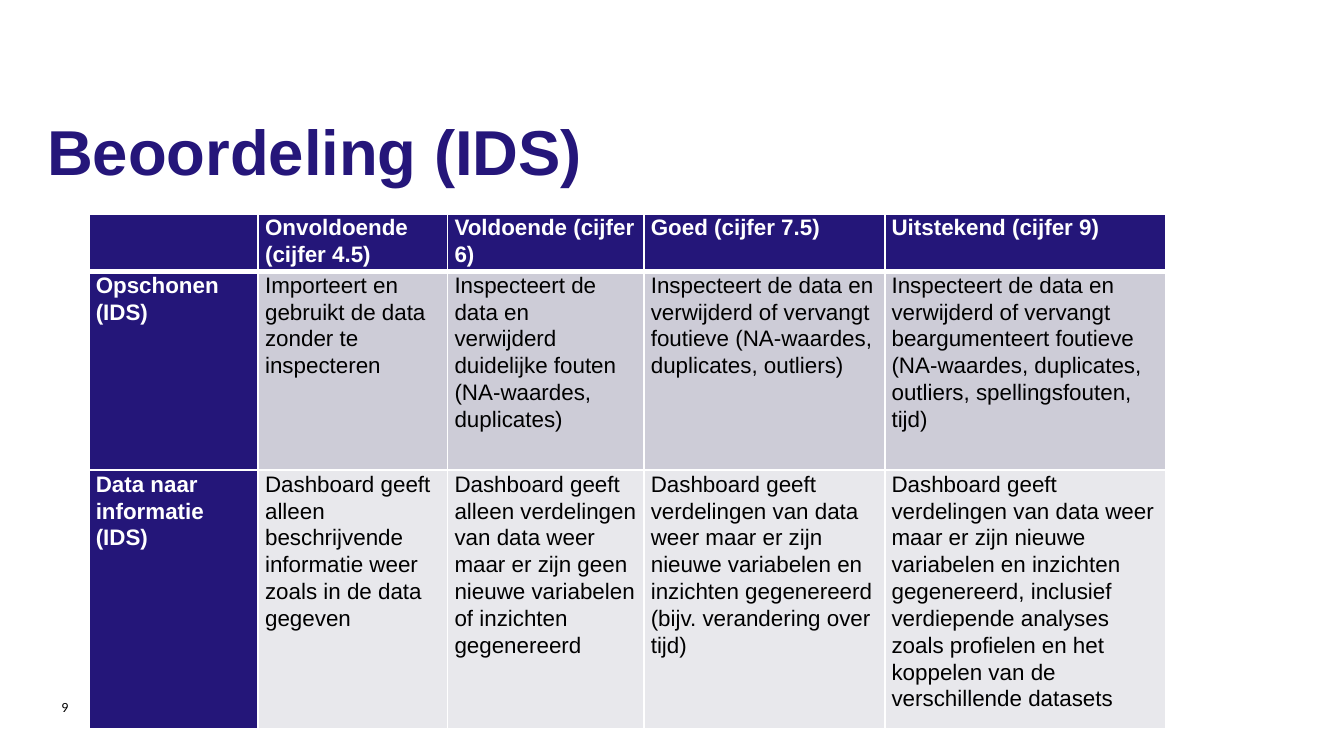
from dataclasses import dataclass

from lxml import etree
from pptx import Presentation
from pptx.dml.color import RGBColor
from pptx.enum.text import MSO_ANCHOR, MSO_AUTO_SIZE, PP_ALIGN
from pptx.oxml.ns import qn
from pptx.util import Cm, Pt

TOP, MIDDLE = MSO_ANCHOR.TOP, MSO_ANCHOR.MIDDLE
LEFT = PP_ALIGN.LEFT
NO_AUTOFIT = MSO_AUTO_SIZE.NONE
TITLE_ONLY_LAYOUT = 5


@dataclass(frozen=True)
class Theme:
    """Colours, fonts and type sizes of the slide."""

    title: str = "25167A"
    heading: str = "241679"
    light: str = "FFFFFF"
    dark: str = "000000"
    bands: tuple = ("CDCCD7", "E8E8EC")
    font: str = "Arial"
    number_font: str = "Calibri"
    title_size: float = 34
    table_size: float = 12
    number_size: float = 7.5
    thin_border: float = 1
    thick_border: float = 3


THEME = Theme()
COLUMN_WIDTHS = (3.2, 3.58, 3.71, 4.55, 5.31)
ROW_HEIGHTS = (1.07, 3.76, 4.85)
RUBRIC = (
    (
        "",
        "Onvoldoende (cijfer 4.5)",
        "Voldoende (cijfer 6)",
        "Goed (cijfer 7.5)",
        "Uitstekend (cijfer 9)",
    ),
    (
        "Opschonen (IDS)",
        "Importeert en gebruikt de data zonder te inspecteren",
        "Inspecteert de data en verwijderd duidelijke fouten (NA-waardes, duplicates)",
        "Inspecteert de data en verwijderd of vervangt foutieve (NA-waardes, duplicates, outliers)",
        "Inspecteert de data en verwijderd of vervangt beargumenteert foutieve "
        "(NA-waardes, duplicates, outliers, spellingsfouten, tijd)",
    ),
    (
        "Data naar informatie (IDS)",
        "Dashboard geeft alleen beschrijvende informatie weer zoals in de data gegeven",
        "Dashboard geeft alleen verdelingen van data weer maar er zijn geen nieuwe "
        "variabelen of inzichten gegenereerd",
        "Dashboard geeft verdelingen van data weer maar er zijn nieuwe variabelen en "
        "inzichten gegenereerd (bijv. verandering over tijd)",
        "Dashboard geeft verdelingen van data weer maar er zijn nieuwe variabelen en "
        "inzichten gegenereerd, inclusief verdiepende analyses zoals profielen en het "
        "koppelen van de verschillende datasets",
    ),
)


def set_font(paragraph, name, size, color, bold=False):
    """Set the font of a whole paragraph."""
    font = paragraph.font
    font.name = name
    font.size = Pt(size)
    font.bold = bold
    font.color.rgb = RGBColor.from_string(color)


def set_margins(frame, horizontal, vertical):
    """Set equal side margins and equal top and bottom margins."""
    frame.margin_left = frame.margin_right = Cm(horizontal)
    frame.margin_top = frame.margin_bottom = Cm(vertical)


def add_title(slide, text):
    """Place and format the title placeholder."""
    title = slide.shapes.title
    title.left, title.top = Cm(0.89), Cm(2.11)
    title.width, title.height = Cm(23.6), Cm(3.07)
    frame = title.text_frame
    frame.text = text
    frame.auto_size = NO_AUTOFIT
    frame.vertical_anchor = TOP
    set_margins(frame, 0, 0)
    paragraph = frame.paragraphs[0]
    paragraph.alignment = LEFT
    paragraph.space_before = Pt(4)
    set_font(paragraph, THEME.font, THEME.title_size, THEME.title, bold=True)


def add_page_number(slide, text):
    """Add the page number at the lower left."""
    box = slide.shapes.add_textbox(Cm(0.91), Cm(12.98), Cm(0.99), Cm(0.76))
    frame = box.text_frame
    frame.word_wrap = True
    frame.vertical_anchor = MIDDLE
    frame.text = text
    set_font(frame.paragraphs[0], THEME.number_font, THEME.number_size, THEME.dark)


def set_borders(cell, top, bottom):
    """Draw light borders, with the given top and bottom widths."""
    properties = cell._tc.get_or_add_tcPr()
    widths = {"lnL": THEME.thin_border, "lnR": THEME.thin_border, "lnT": top, "lnB": bottom}
    for side, width in widths.items():
        line = etree.SubElement(properties, qn(f"a:{side}"), w=str(Pt(width)))
        fill = etree.SubElement(line, qn("a:solidFill"))
        etree.SubElement(fill, qn("a:srgbClr"), val=THEME.light)


def format_cell(cell, text, row, column):
    """Fill one rubric cell, styled by its row and column."""
    heading = row == 0 or column == 0
    top = THEME.thick_border if row == 1 else THEME.thin_border
    bottom = THEME.thick_border if row == 0 else THEME.thin_border
    set_borders(cell, top, bottom)
    cell.fill.solid()
    background = THEME.heading if heading else THEME.bands[row - 1]
    cell.fill.fore_color.rgb = RGBColor.from_string(background)
    set_margins(cell, 0.13, 0)
    cell.text = text
    paragraph = cell.text_frame.paragraphs[0]
    paragraph.line_spacing = 1.07
    color = THEME.light if heading else THEME.dark
    set_font(paragraph, THEME.font, THEME.table_size, color, bold=heading)


def add_rubric(slide):
    """Add the assessment rubric as a table."""
    frame = slide.shapes.add_table(
        len(ROW_HEIGHTS), len(COLUMN_WIDTHS),
        Cm(1.68), Cm(4.04), Cm(sum(COLUMN_WIDTHS)), Cm(sum(ROW_HEIGHTS)),
    )
    table = frame.table
    for column, width in zip(table.columns, COLUMN_WIDTHS):
        column.width = Cm(width)
    for row, height in zip(table.rows, ROW_HEIGHTS):
        row.height = Cm(height)
    for row, texts in enumerate(RUBRIC):
        for column, text in enumerate(texts):
            format_cell(table.cell(row, column), text, row, column)


def main():
    """Build and save the presentation."""
    presentation = Presentation()
    presentation.slide_width, presentation.slide_height = Cm(25.4), Cm(14.29)
    slide = presentation.slides.add_slide(presentation.slide_layouts[TITLE_ONLY_LAYOUT])
    add_title(slide, "Beoordeling (IDS)")
    add_page_number(slide, "9")
    add_rubric(slide)
    presentation.save("out.pptx")


if __name__ == "__main__":
    main()
